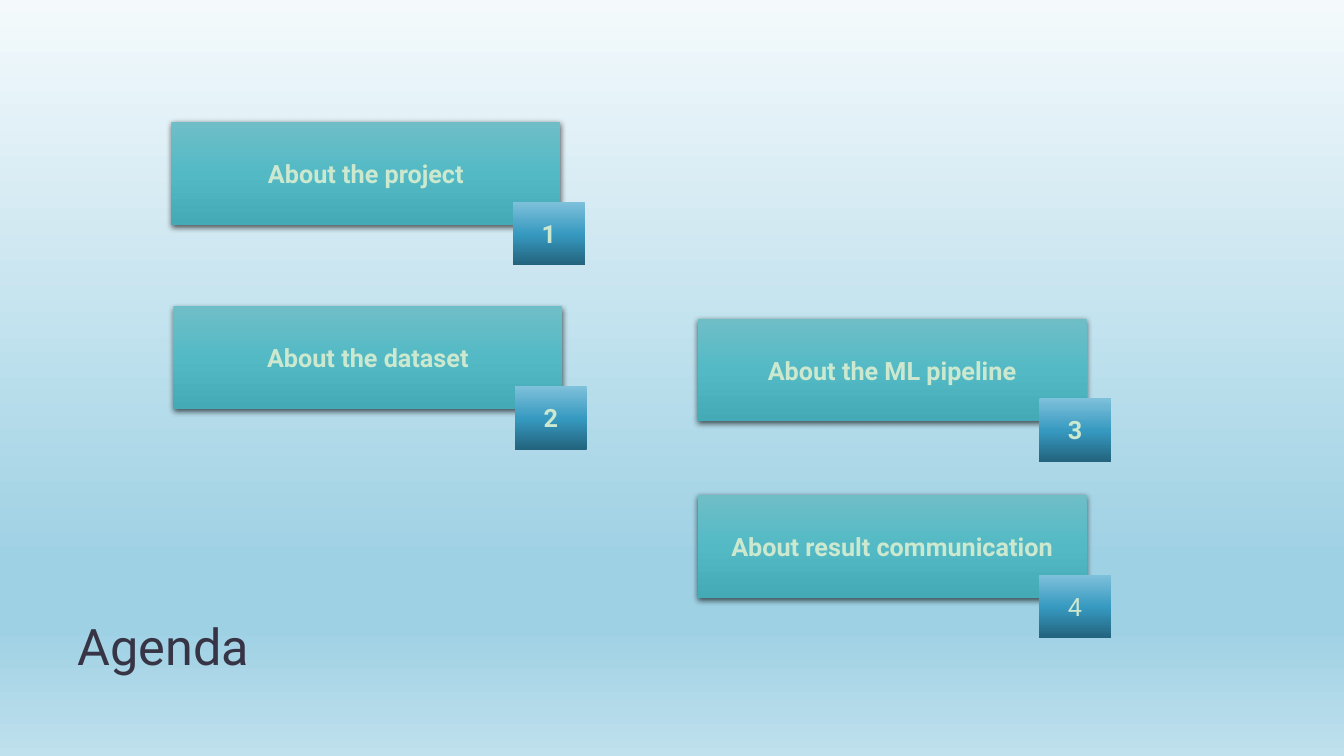
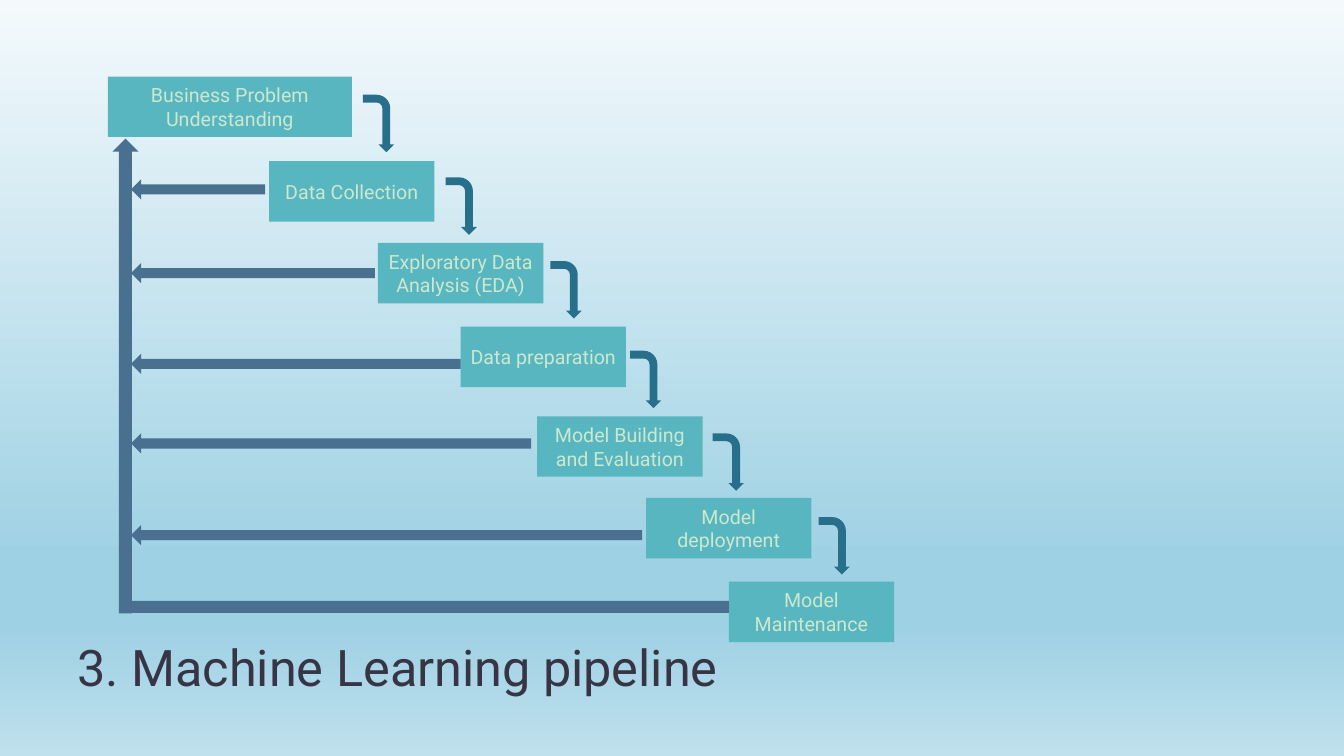
from typing import NamedTuple

from lxml import etree
from pptx import Presentation
from pptx.dml.color import RGBColor
from pptx.enum.shapes import MSO_SHAPE
from pptx.enum.text import MSO_ANCHOR, PP_ALIGN
from pptx.oxml.ns import qn
from pptx.util import Inches, Pt

RECTANGLE = MSO_SHAPE.RECTANGLE
BENT_ARROW = MSO_SHAPE.BENT_ARROW
LEFT_ARROW = MSO_SHAPE.LEFT_ARROW
UP_ARROW = MSO_SHAPE.UP_ARROW
MIDDLE = MSO_ANCHOR.MIDDLE
BOTTOM = MSO_ANCHOR.BOTTOM
CENTER = PP_ALIGN.CENTER

CELL = 0.1
COLUMNS, ROWS = 133.33, 75
FONT = "Roboto"
TITLE_COLOR = "373545"
LABEL_COLOR = "CCE8CF"
STAGE_COLOR = "58B6C0"
FLOW_COLOR = "276F8B"
RETURN_COLOR = "4A7090"
BACKGROUND = [(0, "F4FAFC"), (74, "9FD1E4"), (83, "9FD1E4"), (100, "BFE0ED")]
CARD_GRADIENT = [(0, "6FBEC7"), (50, "53BAC5"), (100, "44AAB5")]
BADGE_GRADIENT = [(0, "7FC1DB"), (52, "3699C0"), (100, "23637D")]


class Box(NamedTuple):
    left: float
    top: float
    width: float
    height: float

    def inner(self, left, top, width, height):
        return Box(self.left + left, self.top + top, width, height)

    def lengths(self):
        return [Inches(CELL * value) for value in self]


class Stage(NamedTuple):
    label: str
    left: float
    top: float
    width: float = 16.4
    flow_offset: tuple = ()
    return_gap: float = 0
    return_drop: float = 0


AGENDA_CARDS = [
    ("About the project", 17, 12.1, True),
    ("About the dataset", 17.2, 30.4, True),
    ("About the ML pipeline", 69.2, 31.6, True),
    ("About result communication", 69.2, 49.1, False),
]

STAGES = [
    Stage("Business Problem\nUnderstanding", 0, 0, 24.2, (2.65, 4.65)),
    Stage("Data Collection", 16, 8.4, 16.4, (2.65, 4.45), 0.4, 2.8),
    Stage("Exploratory Data Analysis (EDA)", 26.8, 16.5, 16.4, (2.25, 4.65), 0.3, 3),
    Stage("Data preparation", 35, 24.8, 16.4, (1.95, 5.25), 0, 3.7),
    Stage("Model Building and Evaluation", 42.6, 33.7, 16.4, (2.55, 4.55), 0.6, 2.7),
    Stage("Model deployment", 53.4, 41.8, 16.4, (2.25, 4.75), 0.4, 3.7),
    Stage("Model Maintenance", 61.6, 50.1),
]


def color(value):
    return RGBColor.from_string(value)


def fill_gradient(fill, element, stops):
    fill.gradient()
    stop_list = next(element.iter(qn("a:gsLst")))
    for stop in list(stop_list):
        stop_list.remove(stop)
    for position, value in stops:
        stop = etree.SubElement(stop_list, qn("a:gs"), pos=str(position * 1000))
        etree.SubElement(stop, qn("a:srgbClr"), val=value)
    fill.gradient_angle = 270


def add_shadow(shape):
    effects = shape.element.spPr.find(qn("a:effectLst"))
    shadow = etree.SubElement(
        effects, qn("a:outerShdw"), blurRad=str(int(Pt(4.5))), dist=str(int(Pt(1.5))),
        dir="5400000", algn="ctr", rotWithShape="0")
    shade = etree.SubElement(shadow, qn("a:srgbClr"), val="000000")
    etree.SubElement(shade, qn("a:alpha"), val="63000")


def add_block(slide, kind, box, fill):
    shape = slide.shapes.add_shape(kind, *box.lengths())
    shape.shadow.inherit = False
    shape.line.fill.background()
    if isinstance(fill, str):
        shape.fill.solid()
        shape.fill.fore_color.rgb = color(fill)
    else:
        fill_gradient(shape.fill, shape.element.spPr, fill)
    return shape


def write_text(shape, text, size, text_color, anchor=MIDDLE, alignment=None, bold=False):
    frame = shape.text_frame
    frame.word_wrap = True
    frame.vertical_anchor = anchor
    frame.text = text
    for paragraph in frame.paragraphs:
        paragraph.alignment = alignment
        paragraph.font.name = FONT
        paragraph.font.size = Pt(size)
        paragraph.font.bold = bold
        paragraph.font.color.rgb = color(text_color)


def write_label(shape, text, size, bold=False):
    shape.text_frame.margin_left = shape.text_frame.margin_right = Inches(0.06)
    write_text(shape, text, size, LABEL_COLOR, alignment=CENTER, bold=bold)


def add_title(slide, text, top):
    box = Box(6.7, top, 120, 11.7)
    write_text(slide.shapes.add_textbox(*box.lengths()), text, 36, TITLE_COLOR, BOTTOM)


def add_agenda_card(slide, box, number, label, bold_number):
    card = add_block(slide, RECTANGLE, box, CARD_GRADIENT)
    add_shadow(card)
    write_label(card, label, 18, True)
    badge_box = box.inner(box.width - 4.7, box.height - 2.3, 7.1, 6.3)
    badge = add_block(slide, RECTANGLE, badge_box, BADGE_GRADIENT)
    write_label(badge, str(number), 18, bold_number)


def add_stage(slide, box, stage):
    stage_box = box.inner(stage.left, stage.top, stage.width, 6)
    write_label(add_block(slide, RECTANGLE, stage_box, STAGE_COLOR), stage.label, 14)
    if stage.flow_offset:
        across, down = stage.flow_offset
        length, thickness = 5.7, 3.1
        flow_box = stage_box.inner(
            stage.width + across - length / 2, down - thickness / 2, length, thickness)
        add_block(slide, BENT_ARROW, flow_box, FLOW_COLOR).rotation = 90
    if stage.return_drop:
        start = 2.3
        return_box = box.inner(
            start, stage.top + stage.return_drop - 1,
            stage.left - stage.return_gap - start, 2)
        add_block(slide, LEFT_ARROW, return_box, RETURN_COLOR)


def add_pipeline(slide, box):
    for stage in STAGES:
        add_stage(slide, box, stage)
    add_block(slide, UP_ARROW, box.inner(0.45, 6.15, 2.6, 47.1), RETURN_COLOR)
    add_block(slide, RECTANGLE, box.inner(1.4, 52, 60.2, 1.2), RETURN_COLOR)


def build_agenda(slide):
    add_title(slide, "Agenda", 55.8)
    for number, (label, left, top, bold_number) in enumerate(AGENDA_CARDS, 1):
        add_agenda_card(slide, Box(left, top, 38.6, 10.2), number, label, bold_number)


def build_pipeline(slide):
    add_title(slide, "3. Machine Learning pipeline", 57.9)
    add_pipeline(slide, Box(10.7, 7.6, 78, 56.1))


def main():
    presentation = Presentation()
    presentation.slide_width = Inches(CELL * COLUMNS)
    presentation.slide_height = Inches(CELL * ROWS)
    master = presentation.slide_master
    fill_gradient(master.background.fill, master.element, BACKGROUND)
    blank = presentation.slide_layouts[6]
    for build in (build_agenda, build_pipeline):
        build(presentation.slides.add_slide(blank))
    presentation.save("out.pptx")


if __name__ == "__main__":
    main()
